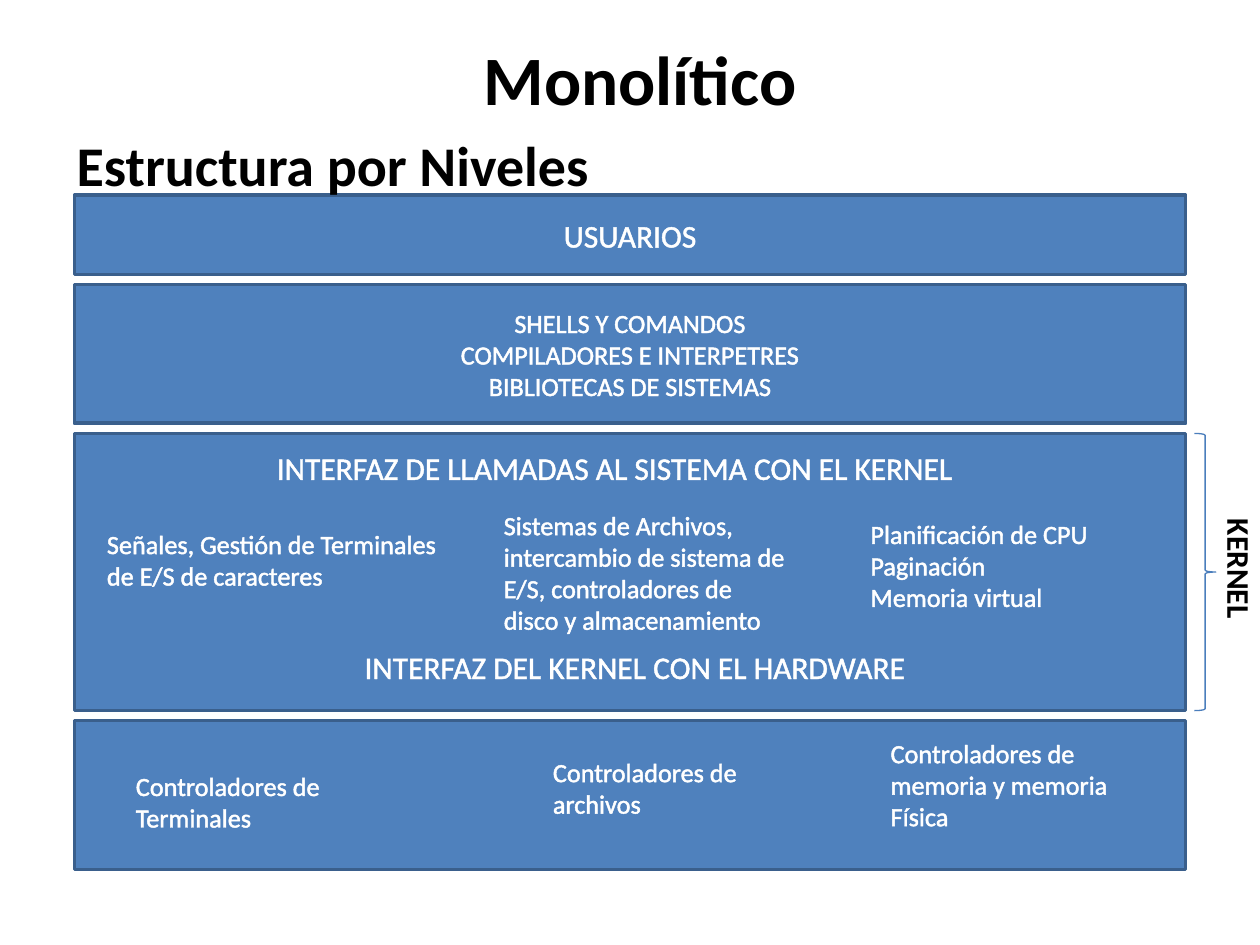
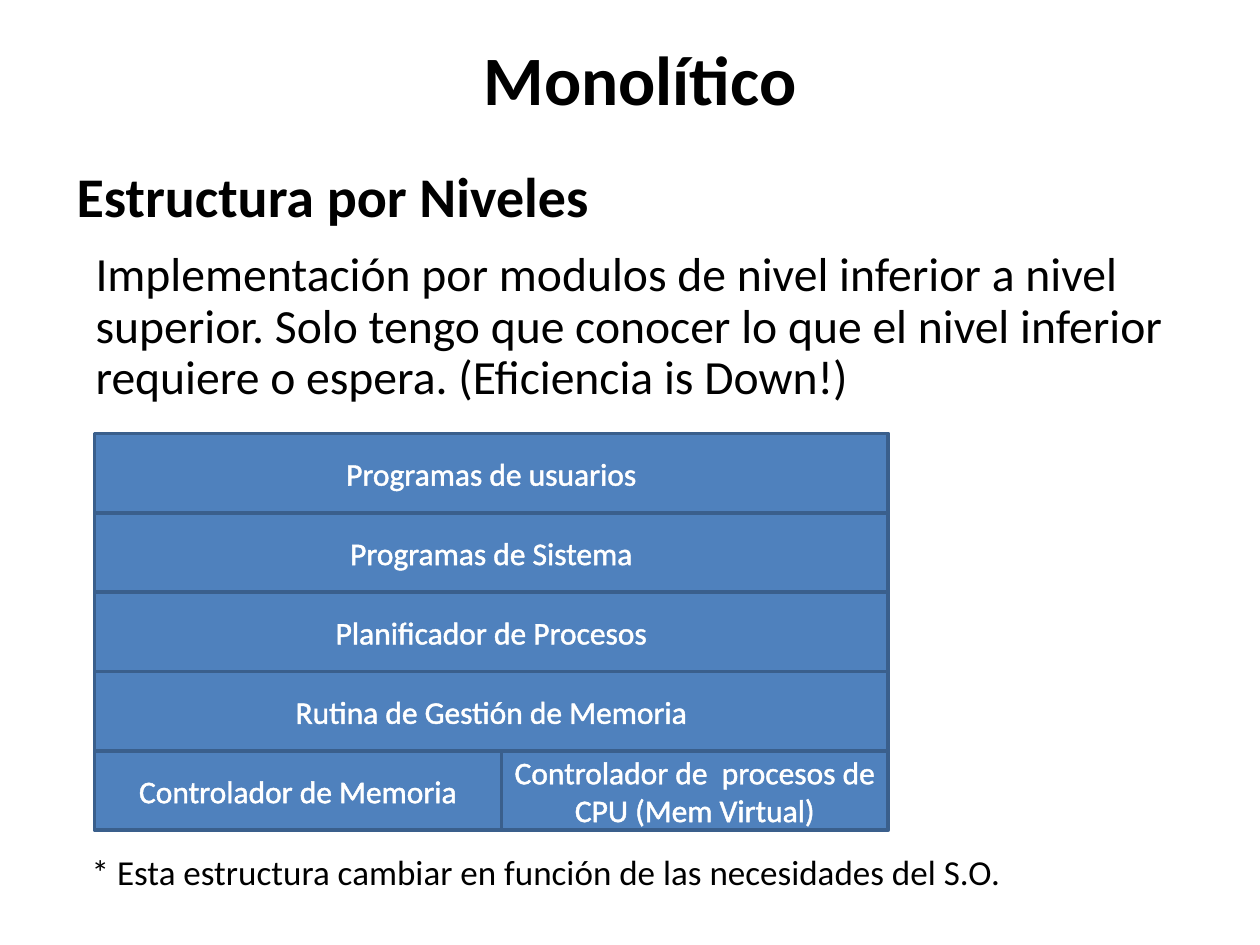
from lxml.etree import SubElement
from pptx import Presentation
from pptx.dml.color import RGBColor
from pptx.enum.shapes import MSO_SHAPE
from pptx.enum.text import MSO_ANCHOR, PP_ALIGN
from pptx.oxml.ns import qn
from pptx.util import Emu, Pt

# Shared look
SCALE = 9144  # EMU per px, 100 px to the inch
WIDTH, HEIGHT = 1000, 750
FONT = "Calibri"
BLACK = RGBColor(0x00, 0x00, 0x00)
WHITE = RGBColor(0xFF, 0xFF, 0xFF)
BLUE = RGBColor(0x4F, 0x81, 0xBD)
BLUE_EDGE = RGBColor(0x3A, 0x5F, 0x8C)
BRACE_BLUE = RGBColor(0x4B, 0x7E, 0xBC)
OUTLINE = Pt(1.45)

TITLE = "Monolítico"
HEADING = "Estructura por Niveles"

# Slide 1: system levels as (height, size, text), top to bottom
LEVELS_LEFT, LEVELS_TOP, LEVELS_WIDTH, LEVELS_GAP = 59, 155, 882, 8
LEVELS = [
    (63, 18, "USUARIOS"),
    (110, 15, "SHELLS Y COMANDOS\nCOMPILADORES E INTERPETRES\nBIBLIOTECAS DE SISTEMAS"),
    (220, 18, ""),
    (118, 18, ""),
]
KERNEL_LEVEL = 2

# Captions over the kernel and hardware levels: (left, top, width, height, text)
INTERFACES = [
    (161, 351, 654, 40, "INTERFAZ DE LLAMADAS AL SISTEMA CON EL KERNEL"),
    (177, 509, 654, 40, "INTERFAZ DEL KERNEL CON EL HARDWARE"),
]
COMPONENTS = [
    (75, 414, 299, 86, "Señales, Gestión de Terminales de E/S de caracteres"),
    (390, 399, 244, 111, "Sistemas de Archivos, intercambio de sistema de E/S, "
                         "controladores de disco y almacenamiento"),
    (681, 406, 213, 86, "Planificación de CPU\nPaginación\nMemoria virtual"),
    (98, 606, 213, 61, "Controladores de Terminales"),
    (429, 595, 213, 61, "Controladores de archivos"),
    (697, 580, 213, 86, "Controladores de\nmemoria y memoria Física"),
]

# Slide 2: module stack, each row a list of (width, text)
STACK_LEFT, STACK_TOP, ROW_HEIGHT = 75, 344, 63
MODULE_ROWS = [
    [(630, "Programas de usuarios")],
    [(630, "Programas de Sistema")],
    [(630, "Planificador de Procesos")],
    [(630, "Rutina de Gestión de Memoria")],
    [(323, "Controlador de Memoria"), (307, "Controlador de  procesos de CPU (Mem Virtual)")],
]
EXPLANATION = ("Implementación por modulos de nivel inferior a nivel superior. "
               "Solo tengo que conocer lo que el nivel inferior requiere o espera. "
               "(Eficiencia is Down!)")
FOOTNOTE = "* Esta estructura cambiar en función de las necesidades del S.O."


def px(*lengths):
    return [Emu(length * SCALE) for length in lengths]


def write(shape, text, size, color=BLACK, bold=False, align=PP_ALIGN.LEFT,
          anchor=MSO_ANCHOR.TOP):
    """Fill a shape with text; white text also gets a white outline."""
    frame = shape.text_frame
    frame.text = text
    frame.word_wrap = True
    frame.vertical_anchor = anchor
    for paragraph in frame.paragraphs:
        paragraph.alignment = align
        for run in paragraph.runs:
            run.font.name = FONT
            run.font.size = Pt(size)
            run.font.bold = bold
            run.font.color.rgb = color
            if color == WHITE:
                line = SubElement(run.font._element, qn("a:ln"), w=str(OUTLINE))
                fill = SubElement(line, qn("a:solidFill"))
                SubElement(fill, qn("a:srgbClr"), val=str(WHITE))
                run.font._element.insert(0, line)


def add_text(slide, box, text, size, **style):
    shape = slide.shapes.add_textbox(*px(*box))
    write(shape, text, size, **style)
    return shape


def add_block(slide, box, text, size):
    shape = slide.shapes.add_shape(MSO_SHAPE.RECTANGLE, *px(*box))
    shape.shadow.inherit = False
    shape.fill.solid()
    shape.fill.fore_color.rgb = BLUE
    shape.line.color.rgb = BLUE_EDGE
    shape.line.width = Pt(2)
    if text:
        write(shape, text, size, color=WHITE, align=PP_ALIGN.CENTER, anchor=MSO_ANCHOR.MIDDLE)


def add_headings(slide, heading_top):
    add_text(slide, (59, 24, 898, 76), TITLE, 39.6, bold=True,
             align=PP_ALIGN.CENTER, anchor=MSO_ANCHOR.MIDDLE)
    add_text(slide, (51, heading_top, 488, 63), HEADING, 32, bold=True)


def build_levels(slide):
    # Stacked levels, with the brace beside the kernel
    top = LEVELS_TOP
    for index, (height, size, text) in enumerate(LEVELS):
        add_block(slide, (LEVELS_LEFT, top, LEVELS_WIDTH, height), text, size)
        if index == KERNEL_LEVEL:
            brace = slide.shapes.add_shape(MSO_SHAPE.RIGHT_BRACE, *px(948, top, 17, height))
            brace.shadow.inherit = False
            brace.fill.background()
            brace.line.color.rgb = BRACE_BLUE
            brace.line.width = Pt(0.75)
        top += height + LEVELS_GAP
    add_headings(slide, 99)

    # Captions
    for *box, text in INTERFACES:
        add_text(slide, box, text, 18, color=WHITE, align=PP_ALIGN.CENTER)
    for *box, text in COMPONENTS:
        add_text(slide, box, text, 15, color=WHITE)
    kernel_label = add_text(slide, (923, 443, 122, 40), "KERNEL", 18, bold=True)
    kernel_label.rotation = 90


def build_modules(slide):
    add_headings(slide, 123)
    explanation = add_text(slide, (66, 194, 899, 134), EXPLANATION, 27.2)
    explanation.text_frame.paragraphs[0].line_spacing = 0.9

    # Module stack
    for row, modules in enumerate(MODULE_ROWS):
        left = STACK_LEFT
        for width, text in modules:
            add_block(slide, (left, STACK_TOP + row * ROW_HEIGHT, width, ROW_HEIGHT), text, 18)
            left += width
    add_text(slide, (63, 670, 937, 51), FOOTNOTE, 20)


def main():
    presentation = Presentation()
    presentation.slide_width, presentation.slide_height = px(WIDTH, HEIGHT)
    for build in (build_levels, build_modules):
        build(presentation.slides.add_slide(presentation.slide_layouts[6]))
    presentation.save("out.pptx")


if __name__ == "__main__":
    main()
